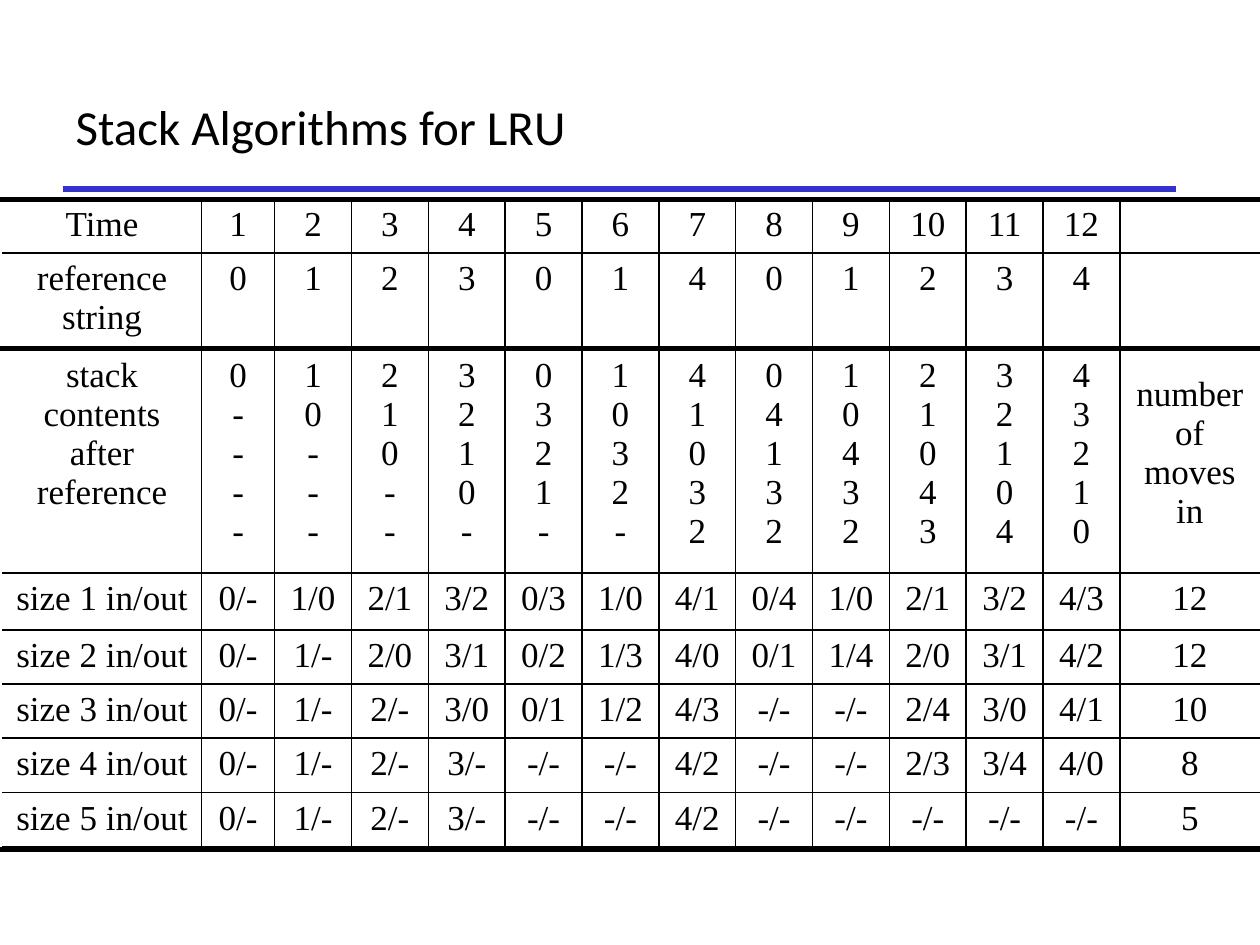
from dataclasses import dataclass
from itertools import product

from lxml import etree
from pptx import Presentation
from pptx.dml.color import RGBColor
from pptx.enum.shapes import MSO_CONNECTOR
from pptx.enum.text import MSO_ANCHOR, PP_ALIGN
from pptx.oxml.ns import qn
from pptx.util import Inches, Pt

STRAIGHT = MSO_CONNECTOR.STRAIGHT
MIDDLE, TOP = MSO_ANCHOR.MIDDLE, MSO_ANCHOR.TOP
LEFT, CENTER = PP_ALIGN.LEFT, PP_ALIGN.CENTER


@dataclass(frozen=True)
class Theme:
    ink: str = "000000"
    paper: str = "FFFFFF"
    accent: str = "3333CC"
    title_font: str = "Calibri"
    title_size: float = 28
    table_font: str = "Times New Roman"
    table_size: float = 20
    grid_weight: float = 1


@dataclass(frozen=True)
class Rule:
    """Horizontal line, placed in shares of the slide's size."""
    start: float
    end: float
    y: float
    color: str
    weight: float


@dataclass(frozen=True)
class TraceRow:
    """One table row; steps are separated by blanks."""
    label: str
    steps: str
    height: float
    moves: str = ""

    def texts(self) -> list[str]:
        return [self.label, *self.steps.split(), self.moves]


THEME = Theme()
WIDTH, HEIGHT = Inches(10), Inches(7.5)

# Table grid, in inches
TABLE_LEFT, TABLE_TOP = 0.02, 1.58
COLUMNS = [1.58, 0.58, *[0.61] * 11, 1.11]
ROW = 0.43
MOVES_HEADING_INSET = 0.2

# Stack contents after each reference, top of the stack first
STACKS = "0---- 10--- 210-- 3210- 0321- 1032- 41032 04132 10432 21043 32104 43210"

TRACE = [
    TraceRow("Time", "1 2 3 4 5 6 7 8 9 10 11 12", ROW),
    TraceRow("reference\nstring", "0 1 2 3 0 1 4 0 1 2 3 4", 0.77),
    TraceRow("stack\ncontents\nafter\nreference", STACKS, 1.77,
             "number\nof\nmoves\nin"),
    TraceRow("size 1 in/out",
             "0/- 1/0 2/1 3/2 0/3 1/0 4/1 0/4 1/0 2/1 3/2 4/3", 0.45, "12"),
    TraceRow("size 2 in/out",
             "0/- 1/- 2/0 3/1 0/2 1/3 4/0 0/1 1/4 2/0 3/1 4/2", ROW, "12"),
    TraceRow("size 3 in/out",
             "0/- 1/- 2/- 3/0 0/1 1/2 4/3 -/- -/- 2/4 3/0 4/1", ROW, "10"),
    TraceRow("size 4 in/out",
             "0/- 1/- 2/- 3/- -/- -/- 4/2 -/- -/- 2/3 3/4 4/0", ROW, "8"),
    TraceRow("size 5 in/out",
             "0/- 1/- 2/- 3/- -/- -/- 4/2 -/- -/- -/- -/- -/-", ROW, "5"),
]
STACK_ROW = 2

TITLE_RULE = Rule(0.05, 0.933, 0.2, THEME.accent, 3)
TABLE_RULES = [Rule(0, 1, y, THEME.ink, 2.5) for y in (0.211, 0.369, 0.899)]


def apply_format(target, values: dict) -> None:
    for attribute, value in values.items():
        setattr(target, attribute, value)


def style_text(frame, font: str, size: float, alignment) -> None:
    for paragraph in frame.paragraphs:
        paragraph.alignment = alignment
        for run in paragraph.runs:
            apply_format(run.font, {"name": font, "size": Pt(size), "bold": False})
            run.font.color.rgb = RGBColor.from_string(THEME.ink)


def draw_rule(slide, rule: Rule) -> None:
    y = int(HEIGHT * rule.y)
    line = slide.shapes.add_connector(
        STRAIGHT, int(WIDTH * rule.start), y, int(WIDTH * rule.end), y)
    line.line.color.rgb = RGBColor.from_string(rule.color)
    line.line.width = Pt(rule.weight)
    etree.SubElement(line._element.spPr, qn("a:effectLst"))


def draw_title(slide, text: str) -> None:
    title = slide.shapes.title
    apply_format(title, {
        "left": int(WIDTH * 0.05), "top": int(HEIGHT / 15),
        "width": int(WIDTH * 0.883), "height": int(HEIGHT * 2 / 15)})
    title.text_frame.text = text
    title.text_frame.vertical_anchor = MIDDLE
    style_text(title.text_frame, THEME.title_font, THEME.title_size, LEFT)


def set_borders(cell, colors: dict[str, str]) -> None:
    properties = cell._tc.get_or_add_tcPr()
    for position, (side, color) in enumerate(colors.items()):
        border = etree.Element(qn(f"a:ln{side}"), w=str(Pt(THEME.grid_weight)))
        fill = etree.SubElement(border, qn("a:solidFill"))
        etree.SubElement(fill, qn("a:srgbClr"), val=color)
        properties.insert(position, border)


def draw_trace(slide, trace: list[TraceRow]) -> None:
    heights = [row.height for row in trace]
    table = slide.shapes.add_table(
        len(trace), len(COLUMNS), Inches(TABLE_LEFT), Inches(TABLE_TOP),
        Inches(sum(COLUMNS)), Inches(sum(heights))).table
    apply_format(table, {"first_row": False, "horz_banding": False})
    for column, width in zip(table.columns, COLUMNS):
        column.width = Inches(width)
    for row, height in zip(table.rows, heights):
        row.height = Inches(height)

    texts = [row.texts() for row in trace]
    last = len(COLUMNS) - 1
    for r, c in product(range(len(trace)), range(len(COLUMNS))):
        cell, text = table.cell(r, c), texts[r][c]
        is_stack = r == STACK_ROW and 0 < c < last
        is_moves_heading = r == STACK_ROW and c == last
        cell.text = "\n".join(text) if is_stack else text
        apply_format(cell, {
            "vertical_anchor": TOP,
            "margin_left": Inches(0.1), "margin_right": Inches(0.1),
            "margin_top": Inches(MOVES_HEADING_INSET if is_moves_heading else 0.05),
            "margin_bottom": Inches(0.05)})
        style_text(cell.text_frame, THEME.table_font, THEME.table_size, CENTER)
        cell.fill.background()
        set_borders(cell, {
            "L": THEME.paper if c == 0 else THEME.ink,
            "R": THEME.paper if c == last else THEME.ink,
            "T": THEME.ink, "B": THEME.ink})


def main() -> None:
    deck = Presentation()
    apply_format(deck, {"slide_width": WIDTH, "slide_height": HEIGHT})
    slide = deck.slides.add_slide(deck.slide_layouts.get_by_name("Title Only"))

    # Heading
    draw_rule(slide, TITLE_RULE)
    draw_title(slide, "Stack Algorithms for LRU")

    # Trace table with its heavy rules
    draw_trace(slide, TRACE)
    for rule in TABLE_RULES:
        draw_rule(slide, rule)

    deck.save("out.pptx")


if __name__ == "__main__":
    main()
